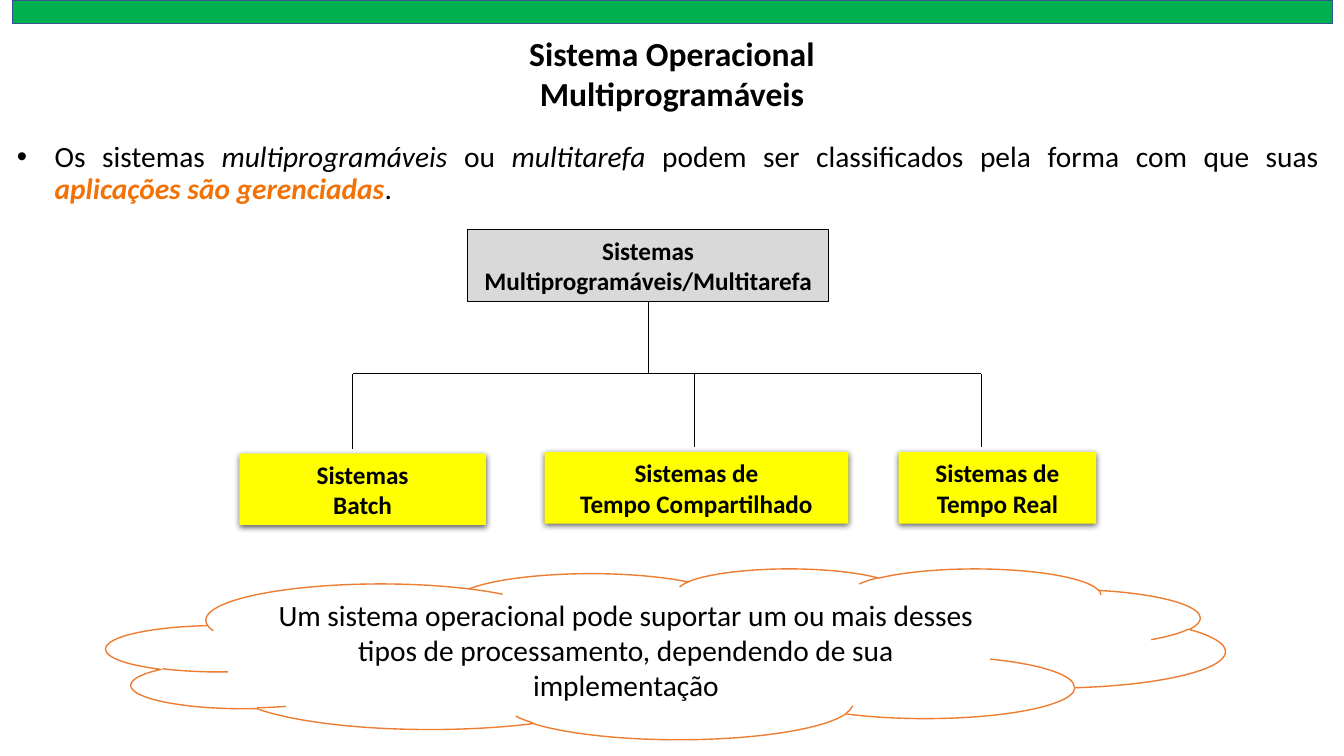
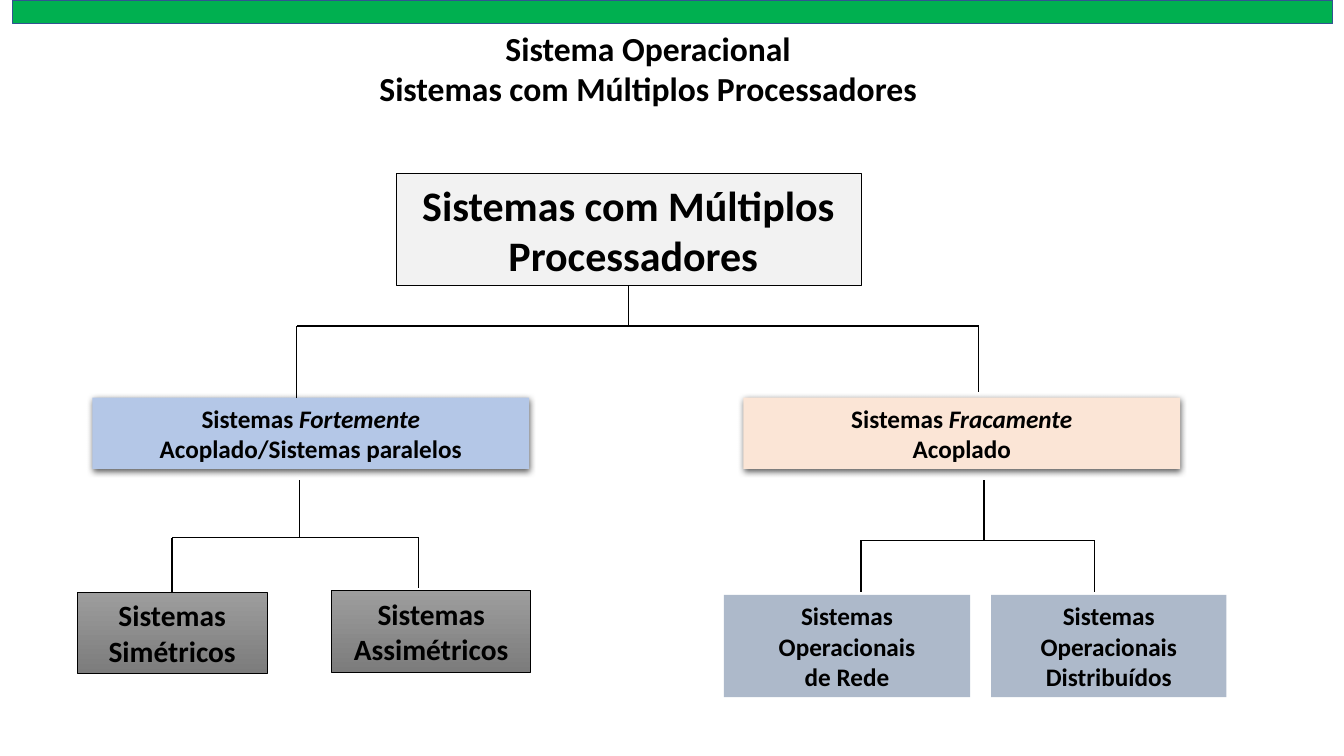
from lxml.etree import SubElement
from pptx import Presentation
from pptx.dml.color import RGBColor
from pptx.enum.shapes import MSO_CONNECTOR, MSO_SHAPE
from pptx.enum.text import MSO_ANCHOR, MSO_AUTO_SIZE, PP_ALIGN
from pptx.oxml.ns import qn
from pptx.util import Pt

FONT = "Calibri"
COLORS = {
    "text": "000000", "accent": "F37207", "band": "00B050", "band_edge": "325491",
    "silver": "D9D9D9", "pale": "F2F2F2", "yellow": "FFFF00", "blue": "B4C7E7",
    "peach": "FBE5D6", "slate": "ADB9CA", "white": "FFFFFF", "cloud_edge": "ED7D31",
    "gray_top": "9D9D9D", "gray_bottom": "7C7C7C",
}
ITALIC = {"italic": True}
ACCENT = {"italic": True, "bold": True, "color": "accent"}

# Box styles: fill (a pair is a gradient), edge as (color, weight), shadow
THIN_EDGE = ("text", 0.5)
STYLES = {
    "band": {"fill": "band", "edge": ("band_edge", 1)},
    "root": {"fill": "silver", "edge": THIN_EDGE},
    "pale_root": {"fill": "pale", "edge": THIN_EDGE},
    "yellow": {"fill": "yellow", "shadow": True},
    "blue": {"fill": "blue", "shadow": True},
    "peach": {"fill": "peach", "shadow": True},
    "slate": {"fill": "slate"},
    "gray": {"fill": ("gray_top", "gray_bottom"), "edge": THIN_EDGE},
    "cloud": {"fill": "white", "edge": ("cloud_edge", 1)},
}

# Content: boxes are (style, frame, size, paragraphs);
# trees are (trunk x, trunk top, bar y, bar weight, branches as (x, end y, weight))
SLIDES = [
    {
        "title": ((286, 20, 388, 66), ["Sistema Operacional", "Multiprogramáveis"]),
        "bullet": ((5, 98, 944, 53), [[
            ("Os sistemas ", {}), ("multiprogramáveis", ITALIC), (" ou ", {}),
            ("multitarefa", ITALIC),
            (" podem ser classificados pela forma com que suas ", {}),
            ("aplicações são gerenciadas", ACCENT), (".", {}),
        ]]),
        "boxes": [
            ("root", (334, 164, 258, 51), 18, ["Sistemas", "Multiprogramáveis/Multitarefa"]),
            ("yellow", (171, 324, 176, 51), 18, ["Sistemas", "Batch"]),
            ("yellow", (389, 323, 217, 51), 18, ["Sistemas de", "Tempo Compartilhado"]),
            ("yellow", (642, 323, 141, 51), 18, ["Sistemas de", "Tempo Real"]),
        ],
        "trees": [
            (463, 215, 267, 0.5, [(252, 321, 0.5), (496, 319, 0.5), (701, 319, 0.5)]),
        ],
        "cloud": ((76, 406, 799, 122), [
            "Um sistema operacional pode suportar um ou mais desses tipos de "
            "processamento, dependendo de sua implementação",
        ]),
    },
    {
        "title": ((254, 16, 418, 66),
                  ["Sistema Operacional", "Sistemas com Múltiplos Processadores"]),
        "boxes": [
            ("pale_root", (283, 124, 332, 80), 30, ["Sistemas com Múltiplos", " Processadores"]),
            ("blue", (66, 284, 312, 51), 18,
             [[("Sistemas ", {}), ("Fortemente", ITALIC)], "Acoplado/Sistemas paralelos"]),
            ("peach", (531, 284, 312, 51), 18,
             [[("Sistemas ", {}), ("Fracamente", ITALIC)], "Acoplado"]),
            ("gray", (55, 423, 136, 58), 21, ["Sistemas", "Simétricos"]),
            ("gray", (237, 422, 142, 58), 21, ["Sistemas", "Assimétricos"]),
            ("slate", (517, 425, 176, 73), 18, ["Sistemas", "Operacionais", "de Rede"]),
            ("slate", (708, 425, 168, 73), 18, ["Sistemas", "Operacionais", "Distribuídos"]),
        ],
        "trees": [
            (449, 204, 233, 1, [(212, 284, 1), (699, 280, 1)]),
            (214, 343, 384, 1, [(123, 423, 1), (299, 420, 1)]),
            (703, 343, 386, 1, [(615, 423, 1), (782, 423, 0.5)]),
        ],
    },
]


def color(name):
    return RGBColor.from_string(COLORS[name])


def points(values):
    return [Pt(value) for value in values]


def write(shape, paragraphs, size, bold=False, align=PP_ALIGN.CENTER,
          anchor=MSO_ANCHOR.MIDDLE, spacing=1.0, bullet=False):
    frame = shape.text_frame
    frame_format = {"word_wrap": True, "auto_size": MSO_AUTO_SIZE.NONE,
                    "vertical_anchor": anchor}
    for name, value in frame_format.items():
        setattr(frame, name, value)
    for index, content in enumerate(paragraphs):
        para = frame.paragraphs[0] if index == 0 else frame.add_paragraph()
        if bullet:
            properties = para._p.get_or_add_pPr()
            properties.set("marL", str(Pt(27)))
            properties.set("indent", str(-Pt(27)))
            SubElement(properties, qn("a:buFont"), typeface="Arial")
            SubElement(properties, qn("a:buChar"), char="•")
        para_format = {"alignment": align, "line_spacing": spacing, "space_before": Pt(0)}
        for name, value in para_format.items():
            setattr(para, name, value)
        spans = [(content, {})] if isinstance(content, str) else content
        for text, changes in spans:
            span = para.add_run()
            span.text = text
            span_format = {"name": FONT, "size": Pt(size), "bold": bold,
                           "italic": False, "color": "text", **changes}
            span.font.color.rgb = color(span_format.pop("color"))
            for name, value in span_format.items():
                setattr(span.font, name, value)


def add_box(page, style_name, frame, preset=MSO_SHAPE.RECTANGLE):
    style = STYLES[style_name]
    box = page.shapes.add_shape(preset, *points(frame))
    box.shadow.inherit = False
    if isinstance(style["fill"], tuple):
        box.fill.gradient()
        box.fill.gradient_angle = 270
        for stop, name in zip(box.fill.gradient_stops, style["fill"]):
            stop.color.rgb = color(name)
    else:
        box.fill.solid()
        box.fill.fore_color.rgb = color(style["fill"])
    if "edge" in style:
        edge, weight = style["edge"]
        box.line.color.rgb = color(edge)
        box.line.width = Pt(weight)
    else:
        box.line.fill.background()
    if style.get("shadow"):
        effects = box._element.spPr.find(qn("a:effectLst"))
        shadow = SubElement(effects, qn("a:outerShdw"), blurRad=str(Pt(4.5)),
                            dist=str(Pt(1.5)), dir="5400000", algn="t", rotWithShape="0")
        black = SubElement(shadow, qn("a:srgbClr"), val=COLORS["text"])
        SubElement(black, qn("a:alpha"), val="63000")
    return box


def add_line(page, start, end, weight, sites):
    line = page.shapes.add_connector(MSO_CONNECTOR.STRAIGHT, *points(start + end))
    line.line.color.rgb = color("text")
    line.line.width = Pt(weight)
    SubElement(line._element.spPr, qn("a:effectLst"))
    for point, connect in ((start, line.begin_connect), (end, line.end_connect)):
        if point in sites:
            connect(*sites[point])


def add_tree(page, tree, sites):
    trunk_x, trunk_top, bar_y, weight, branches = tree
    columns = [x for x, _, _ in branches]
    add_line(page, (trunk_x, trunk_top), (trunk_x, bar_y), weight, sites)
    add_line(page, (min(columns), bar_y), (max(columns), bar_y), weight, sites)
    for x, end_y, branch_weight in branches:
        add_line(page, (x, bar_y), (x, end_y), branch_weight, sites)


def build_page(deck, content):
    page = deck.slides.add_slide(deck.slide_layouts[5])

    # Title and band
    frame, lines = content["title"]
    title = page.shapes.title
    for name, value in zip(("left", "top", "width", "height"), points(frame)):
        setattr(title, name, value)
    write(title, lines, 24, bold=True, anchor=MSO_ANCHOR.TOP)
    add_box(page, "band", (9, 0, 943, 17))

    # Introduction
    if "bullet" in content:
        frame, lines = content["bullet"]
        write(page.shapes.add_textbox(*points(frame)), lines, 21, align=PP_ALIGN.JUSTIFY,
              anchor=MSO_ANCHOR.TOP, spacing=0.9, bullet=True)

    # Boxes, with the middles of their top and bottom sides as joints
    sites = {}
    for style, frame, size, lines in content["boxes"]:
        box = add_box(page, style, frame)
        write(box, lines, size, bold=True)
        left, top, width, height = frame
        sites[(left + width / 2, top)] = (box, 0)
        sites[(left + width / 2, top + height)] = (box, 2)
    for tree in content["trees"]:
        add_tree(page, tree, sites)

    # Closing remark
    if "cloud" in content:
        frame, lines = content["cloud"]
        write(add_box(page, "cloud", frame, MSO_SHAPE.CLOUD), lines, 21)


def main():
    deck = Presentation()
    deck.slide_width, deck.slide_height = Pt(960), Pt(540)
    for content in SLIDES:
        build_page(deck, content)
    deck.save("out.pptx")


if __name__ == "__main__":
    main()
